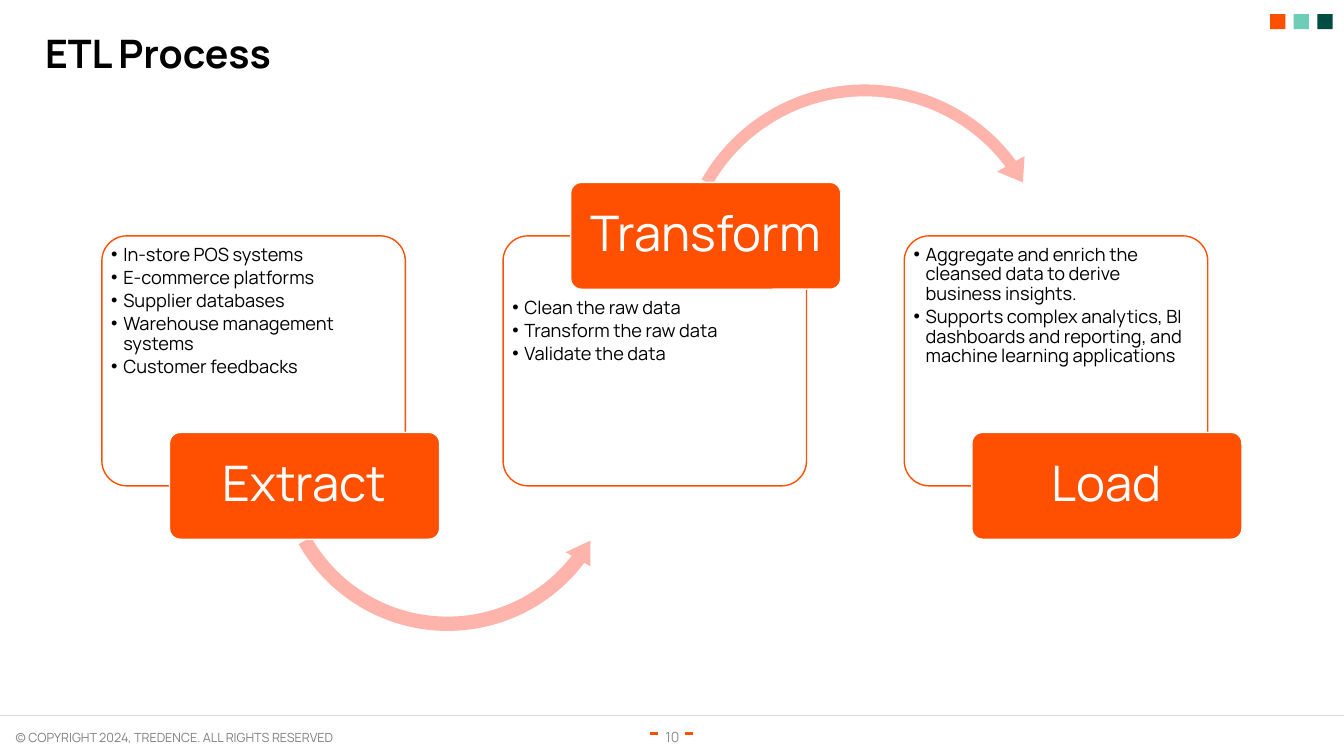
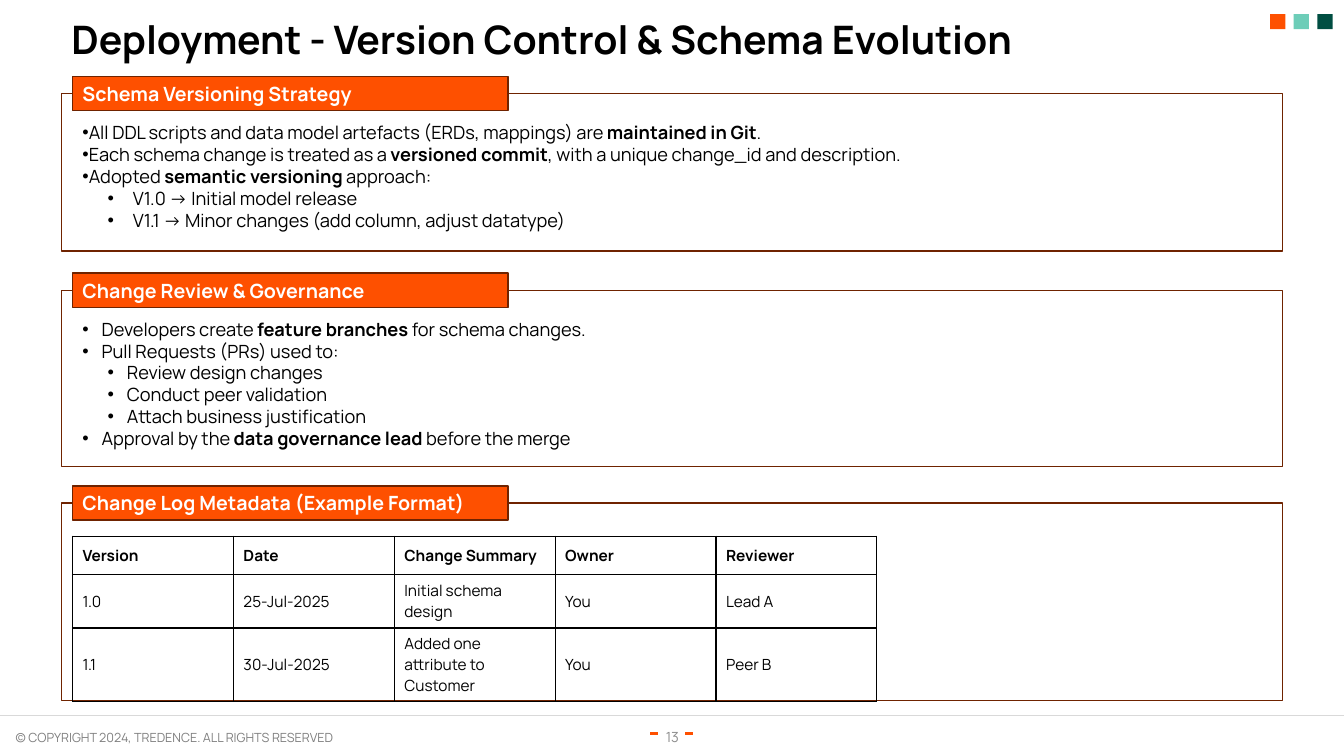
from dataclasses import dataclass

from lxml import etree
from pptx import Presentation
from pptx import util as u
from pptx.dml.color import RGBColor
from pptx.enum import shapes, text
from pptx.oxml import ns

SHAPE = shapes.MSO_SHAPE
ALIGN = text.PP_ALIGN
MIDDLE = text.MSO_ANCHOR.MIDDLE


@dataclass(frozen=True)
class Theme:
    font: str = "Manrope"
    # Colours
    orange: str = "FE5000"
    mint: str = "6DCDB8"
    forest: str = "004E42"
    blush: str = "FEB3AB"
    brown: str = "6F2300"
    black: str = "000000"
    white: str = "FFFFFF"
    rule: str = "D9D9D9"
    copyright: str = "808080"
    number: str = "8C8C8C"
    # Type sizes in points
    title: int = 28
    label: int = 35
    heading: int = 14
    body: int = 13
    cell: int = 11
    page: int = 10
    small: int = 9


@dataclass(frozen=True)
class Bullet:
    """Left margin and hanging indent, in inches."""
    margin: float = 0
    hang: float = 0


class Deck:
    """Holds the style and the current slide; lengths are percent of the slide."""

    def __init__(self, theme):
        self.theme = theme
        self.show = Presentation()
        self.show.slide_width = u.Inches(13.33)
        self.show.slide_height = u.Inches(7.5)
        self.slide = None

    def across(self, share):
        return round(self.show.slide_width * share / 100)

    def down(self, share):
        return round(self.show.slide_height * share / 100)

    def area(self, x, y, w, h):
        return self.across(x), self.down(y), self.across(w), self.down(h)

    # Slide frame: colour squares, footer, page number, title
    def add_slide(self, title, title_at, number):
        t = self.theme
        self.slide = self.show.slides.add_slide(self.show.slide_layouts[6])
        for i, colour in enumerate((t.orange, t.mint, t.forest)):
            self.shape(SHAPE.RECTANGLE, (94.5 + 1.76 * i, 1.87, 1.13, 2), colour)
        self.text((0, 95.87, 25.5, 3.33),
                  ["© COPYRIGHT 2024, TREDENCE. ALL RIGHTS RESERVED"],
                  t.small, t.copyright, wrap=False, align=ALIGN.RIGHT)
        for x in (48.37, 51):
            self.line(x, x + 0.6, 97.07, t.orange, 2.25)
        self.line(0, 100, 94.67, t.rule, 0.5)
        self.text((48.45, 94.8, 3.15, 5.33), [number], t.page, t.number,
                  anchor=MIDDLE, align=ALIGN.CENTER)
        self.text((*title_at, 90, 8.53), [title], t.title, t.black,
                  bold=True, spacing=0.9)

    def shape(self, kind, at, fill=None, line=None, adjust=()):
        shape = self.slide.shapes.add_shape(kind, *self.area(*at))
        shape.shadow.inherit = False
        for i, value in enumerate(adjust):
            shape.adjustments[i] = value
        if fill:
            shape.fill.solid()
            shape.fill.fore_color.rgb = RGBColor.from_string(fill)
        else:
            shape.fill.background()
        if line:
            shape.line.color.rgb = RGBColor.from_string(line)
            shape.line.width = u.Pt(1)
        else:
            shape.line.fill.background()
        return shape

    def line(self, x1, x2, y, colour, width):
        line = self.slide.shapes.add_connector(
            shapes.MSO_CONNECTOR.STRAIGHT,
            self.across(x1), self.down(y), self.across(x2), self.down(y))
        line.line.color.rgb = RGBColor.from_string(colour)
        line.line.width = u.Pt(width)
        etree.SubElement(line._element.spPr, ns.qn("a:effectLst"))

    def text(self, at, lines, size, colour, wrap=True,
             anchor=text.MSO_ANCHOR.TOP, **style):
        frame = self.slide.shapes.add_textbox(*self.area(*at)).text_frame
        frame.word_wrap = wrap
        frame.vertical_anchor = anchor
        self.set_lines(frame, lines, size, colour, **style)

    def set_lines(self, frame, lines, size, colour, bold=False,
                  align=ALIGN.LEFT, spacing=None, after=None):
        """Each line is a string or (string, Bullet); ** marks bold words."""
        for i, line in enumerate(lines):
            words, bullet = line if isinstance(line, tuple) else (line, None)
            paragraph = frame.add_paragraph() if i else frame.paragraphs[0]
            if bullet:
                self.bullet(paragraph, bullet)
            paragraph.alignment = align
            paragraph.line_spacing = spacing
            if after:
                paragraph.space_after = u.Pt(after)
            font = paragraph.font
            font.name, font.size, font.bold = self.theme.font, u.Pt(size), bold
            font.color.rgb = RGBColor.from_string(colour)
            for j, part in enumerate(words.split("**")):
                run = paragraph.add_run()
                run.text = part
                if j % 2:
                    run.font.bold = True

    @staticmethod
    def bullet(paragraph, bullet):
        props = paragraph._p.get_or_add_pPr()
        props.set("marL", str(u.Inches(bullet.margin)))
        props.set("indent", str(-u.Inches(bullet.hang)))
        etree.SubElement(props, ns.qn("a:buFont"), typeface="Arial")
        etree.SubElement(props, ns.qn("a:buChar"), char="•")

    # ETL parts
    def card(self, x, points, text_top):
        t = self.theme
        card = self.shape(SHAPE.ROUNDED_RECTANGLE, (x, 31.2, 22.58, 33.07),
                          t.white, t.orange, [0.1])
        frame = card.text_frame
        frame.word_wrap = True
        frame.vertical_anchor = text.MSO_ANCHOR.TOP
        frame.margin_left = frame.margin_right = u.Inches(0.02)
        frame.margin_top = self.down(text_top)
        self.set_lines(frame, [(point, Bullet(0.12, 0.12)) for point in points],
                       t.body, t.black, spacing=0.9, after=2.4)

    def label(self, x, y, name):
        t = self.theme
        label = self.shape(SHAPE.ROUNDED_RECTANGLE, (x, y, 20.1, 14.13),
                           t.orange, t.white, [0.1])
        frame = label.text_frame
        frame.margin_left = frame.margin_right = u.Inches(0.07)
        frame.vertical_anchor = MIDDLE
        self.set_lines(frame, [name], t.label, t.white,
                       align=ALIGN.CENTER, spacing=0.9, after=12)

    # Outlined panel with a heading tab and optional bullets
    def panel(self, y, h, heading, points=()):
        t = self.theme
        self.shape(SHAPE.RECTANGLE, (4.58, y, 90.83, h), line=t.brown)
        tab = self.shape(SHAPE.RECTANGLE, (5.4, y - 2.27, 32.4, 4.53),
                         t.orange, t.brown)
        tab.text_frame.vertical_anchor = MIDDLE
        self.set_lines(tab.text_frame, [heading], t.heading, t.white, bold=True)
        if points:
            self.text((5.4, y + 3, 89, h - 4.5), points, t.body, t.black,
                      align=ALIGN.JUSTIFY)

    def table(self, x, y, column, heights, rows):
        t = self.theme
        columns = len(rows[0])
        table = self.slide.shapes.add_table(
            len(rows), columns,
            *self.area(x, y, column * columns, sum(heights))).table
        table.first_row = table.horz_banding = False
        for col in table.columns:
            col.width = self.across(column)
        for r, row in enumerate(rows):
            table.rows[r].height = self.down(heights[r])
            for c, words in enumerate(row):
                cell = table.cell(r, c)
                cell.vertical_anchor = MIDDLE
                self.borders(cell)
                cell.fill.background()
                self.set_lines(cell.text_frame, [words], t.cell, t.black,
                               bold=r == 0)

    def borders(self, cell):
        props = cell._tc.get_or_add_tcPr()
        for side in "LRTB":
            edge = etree.SubElement(props, ns.qn("a:ln" + side), w=str(u.Pt(1)))
            fill = etree.SubElement(edge, ns.qn("a:solidFill"))
            etree.SubElement(fill, ns.qn("a:srgbClr"), val=self.theme.black)


def etl_process(deck):
    deck.add_slide("ETL Process", (2.62, 3.87), "10")
    low, high = 57.2, 24.13
    stages = [
        ("Extract", low, ["In-store POS systems", "E-commerce platforms",
                          "Supplier databases", "Warehouse management systems",
                          "Customer feedbacks"]),
        ("Transform", high, ["Clean the raw data", "Transform the raw data",
                             "Validate the data"]),
        ("Load", low, ["Aggregate and enrich the cleansed data to derive "
                       "business insights.",
                       "Supports complex analytics, BI dashboards and reporting, "
                       "and machine learning applications"]),
    ]
    lefts = [7.58 + 29.85 * i for i in range(len(stages))]
    for x, (_, y, points) in zip(lefts, stages):
        deck.card(x, points, 7.33 if y == high else 0.3)
    # Curved arrows between the stages
    deck.shape(SHAPE.LEFT_CIRCULAR_ARROW, (20.03, 37.2, 26.55, 47.2),
               deck.theme.blush, adjust=[0.04, 4.69, 22.44, 90.25, 0.04])
    deck.shape(SHAPE.CIRCULAR_ARROW, (49.65, 9.87, 29.4, 52.27),
               deck.theme.blush, adjust=[0.03, 4.19, 194.06, 125.76, 0.04])
    for x, (name, y, _) in zip(lefts, stages):
        deck.label(x + 5.03, y, name)


def deployment(deck):
    deck.add_slide("Deployment - Version Control & Schema Evolution",
                   (4.58, 2.13), "13")
    flush, release = Bullet(), Bullet(0.5, 0.25)
    deck.panel(12.4, 20.8, "Schema Versioning Strategy", [
        ("All DDL scripts and data model artefacts (ERDs, mappings) are "
         "**maintained in Git**.", flush),
        ("Each schema change is treated as a **versioned commit**, with a unique "
         "change_id and description.", flush),
        ("Adopted **semantic versioning** approach:", flush),
        ("V1.0 → Initial model release", release),
        ("V1.1 → Minor changes (add column, adjust datatype)", release),
    ])
    step, detail = Bullet(0.19, 0.19), Bullet(0.44, 0.19)
    deck.panel(38.4, 23.33, "Change Review & Governance", [
        ("Developers create **feature branches** for schema changes.", step),
        ("Pull Requests (PRs) used to:", step),
        ("Review design changes", detail),
        ("Conduct peer validation", detail),
        ("Attach business justification", detail),
        ("Approval by the **data governance lead** before the merge", step),
    ])
    deck.panel(66.53, 26.13, "Change Log Metadata (Example Format)")
    deck.table(5.4, 70.93, 11.97, [5.07, 7.07, 9.73], [
        ["Version", "Date", "Change Summary", "Owner", "Reviewer"],
        ["1.0", "25-Jul-2025", "Initial schema design", "You", "Lead A"],
        ["1.1", "30-Jul-2025", "Added one attribute to Customer", "You", "Peer B"],
    ])


def main():
    deck = Deck(Theme())
    etl_process(deck)
    deployment(deck)
    deck.show.save("out.pptx")


if __name__ == "__main__":
    main()
